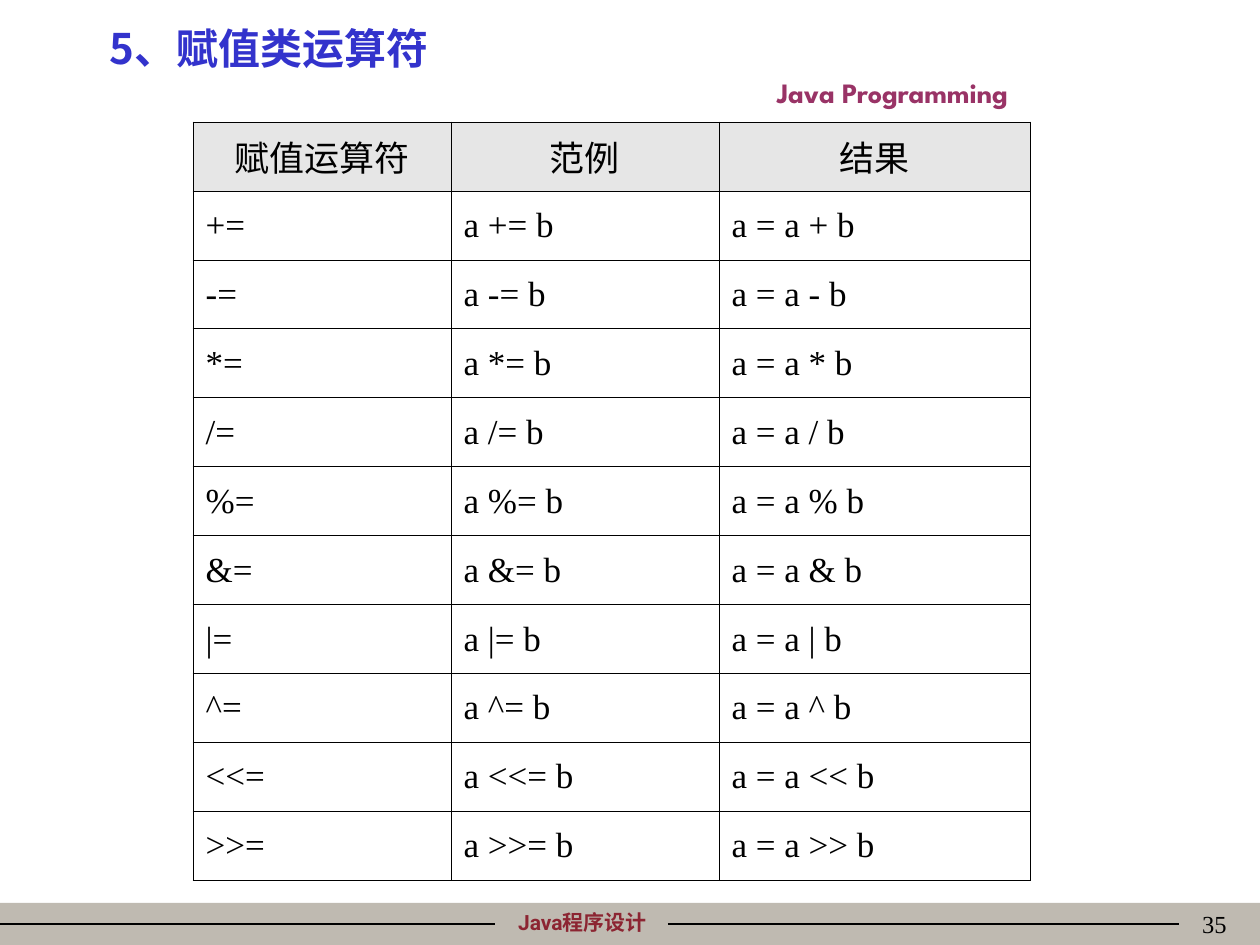
"""Build the slide on Java assignment operators."""
from lxml.etree import SubElement
from pptx import Presentation
from pptx.dml.color import RGBColor
from pptx.enum.shapes import MSO_CONNECTOR, MSO_SHAPE
from pptx.enum.text import MSO_ANCHOR, MSO_AUTO_SIZE, PP_ALIGN
from pptx.oxml.ns import qn
from pptx.util import Pt

PX = 7257
SERIF, HAN = "Times New Roman", "Noto Sans CJK SC"


def tint(code):
    return RGBColor.from_string(code)


def write(frame, text, align, color, form):
    para = frame.paragraphs[0]
    para.alignment = align
    run = para.add_run()
    run.text = text
    for key, value in form.items():
        setattr(run.font, key, value)
    run.font.color.rgb = tint(color)
    SubElement(run.font._element, qn("a:ea"), typeface=HAN)
    return para


deck = Presentation()
deck.slide_width, deck.slide_height = 1260 * PX, 945 * PX
slide = deck.slides.add_slide(deck.slide_layouts[5])
shapes = slide.shapes

bar = shapes.add_shape(MSO_SHAPE.RECTANGLE, 0, 903 * PX, 1260 * PX, 42 * PX)
bar.shadow.inherit = False
bar.fill.solid()
bar.fill.fore_color.rgb = tint("BFBAB1")
bar.line.fill.background()

for start, end in [(0, 495), (668, 1179)]:
    rule = shapes.add_connector(
        MSO_CONNECTOR.STRAIGHT, start * PX, 924 * PX, end * PX, 924 * PX)
    rule.line.width = Pt(0.75)
    rule.line.color.rgb = tint("000000")
    SubElement(rule._element.spPr, qn("a:effectLst"))

labels = [
    ("Java程序设计", (456, 903, 253, 38), PP_ALIGN.CENTER, "8C2532",
     {"name": "Roboto", "size": Pt(12), "bold": True}),
    ("Java Programming", (640, 69, 505, 47), PP_ALIGN.CENTER, "993366",
     {"name": "League Spartan", "size": Pt(16), "bold": True}),
    ("35", (977, 903, 262, 63), PP_ALIGN.RIGHT, "000000",
     {"name": SERIF, "size": Pt(14)}),
]
for text, spot, align, color, form in labels:
    box = shapes.add_textbox(*[n * PX for n in spot])
    box.text_frame.word_wrap = True
    write(box.text_frame, text, align, color, form)

title = shapes.title
place = {"left": 97, "top": 16, "width": 1071, "height": 63}
for key, value in place.items():
    setattr(title, key, value * PX)
title.text_frame.auto_size = MSO_AUTO_SIZE.NONE
title.text_frame.vertical_anchor = MSO_ANCHOR.TOP
write(title.text_frame, "5、赋值类运算符", PP_ALIGN.LEFT, "3333CC",
      {"name": HAN, "size": Pt(24), "bold": True})

signs = ["+", "-", "*", "/", "%", "&", "|", "^", "<<", ">>"]
rows = [("赋值运算符", "范例", "结果")]
rows += [(f"{sign}=", f"a {sign}= b", f"a = a {sign} b") for sign in signs]
widths = [258, 268, 311]
high = 69
table = shapes.add_table(
    len(rows), len(widths), 193 * PX, 122 * PX,
    sum(widths) * PX, high * len(rows) * PX).table
table.first_row = table.horz_banding = False
for column, width in zip(table.columns, widths):
    column.width = width * PX

for r, row in enumerate(rows):
    table.rows[r].height = high * PX
    for c, text in enumerate(row):
        cell = table.cell(r, c)
        cell.vertical_anchor = MSO_ANCHOR.MIDDLE
        cell.margin_left = cell.margin_right = Pt(7.2)
        cell.margin_top = cell.margin_bottom = Pt(3.6)
        props = cell._tc.get_or_add_tcPr()
        for side in ("lnL", "lnR", "lnT", "lnB"):
            edge = SubElement(props, qn(f"a:{side}"), w=str(Pt(0.45)))
            fill = SubElement(edge, qn("a:solidFill"))
            SubElement(fill, qn("a:srgbClr"), val="000000")
        if r == 0:
            cell.fill.solid()
            cell.fill.fore_color.rgb = tint("E6E6E6")
        else:
            cell.fill.background()
        align = PP_ALIGN.LEFT if r else PP_ALIGN.CENTER
        para = write(cell.text_frame, text, align, "000000",
                     {"name": SERIF, "size": Pt(20)})
        indent = para._p.get_or_add_pPr()
        indent.set("marL", str(48 * PX))
        indent.set("indent", str(-48 * PX))

deck.save("out.pptx")
